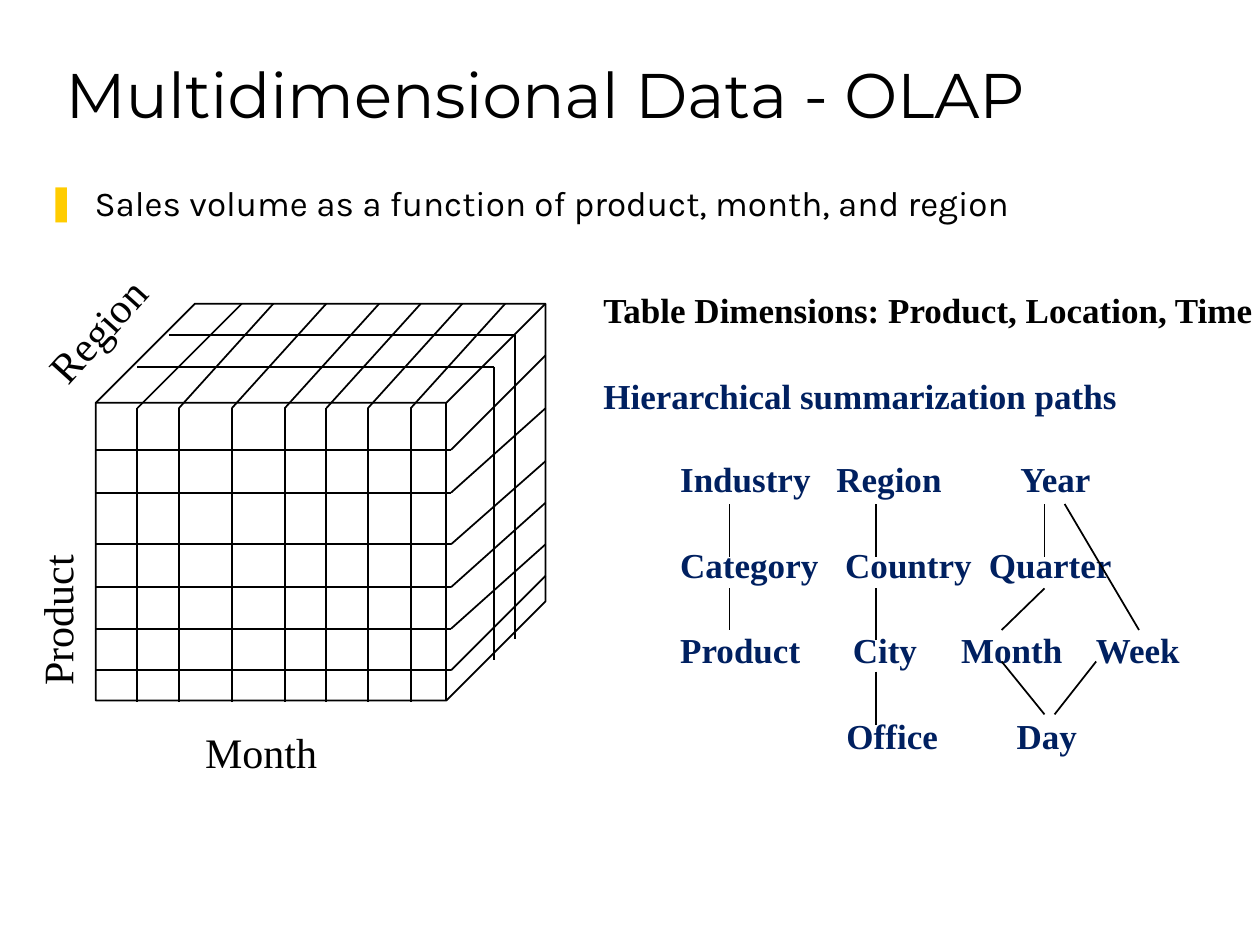
from lxml import etree
from pptx import Presentation
from pptx.dml.color import RGBColor
from pptx.enum.shapes import MSO_CONNECTOR, MSO_SHAPE
from pptx.enum.text import MSO_ANCHOR, PP_ALIGN
from pptx.oxml.ns import qn
from pptx.util import Inches, Pt

COLORS = {"text": "000000", "accent": "002060", "bullet": "FFCC00"}
SERIF = "Times New Roman"
ROW_GAP = Pt(25)


def color(name):
    return RGBColor.from_string(COLORS[name])


def place(shape, box):
    shape.left, shape.top, shape.width, shape.height = map(Inches, box)


def set_font(paragraph, name, size, color_name="text", bold=False):
    font = paragraph.font
    font.name, font.size, font.bold = name, Pt(size), bold
    font.color.rgb = color(color_name)


def add_line(slide, box, start, end):
    """Draw a thin line between two points given relative to the box."""
    left, top = box[:2]
    line = slide.shapes.add_connector(
        MSO_CONNECTOR.STRAIGHT,
        Inches(left + start[0]), Inches(top + start[1]),
        Inches(left + end[0]), Inches(top + end[1]))
    line.line.color.rgb = color("text")
    line.line.width = Pt(1)
    etree.SubElement(line._element.spPr, qn("a:effectLst"))


def add_text_frame(slide, box, rotation=0, wrap=True):
    text_box = slide.shapes.add_textbox(*map(Inches, box))
    text_box.rotation = rotation
    text_box.text_frame.word_wrap = wrap
    return text_box.text_frame


def add_title(slide, box):
    title = slide.shapes.title
    place(title, box)
    title.text_frame.text = "Multidimensional Data - OLAP"
    title.text_frame.vertical_anchor = MSO_ANCHOR.BOTTOM
    paragraph = title.text_frame.paragraphs[0]
    paragraph.alignment = PP_ALIGN.LEFT
    set_font(paragraph, "Montserrat", 36)


def add_body(slide, box):
    body = slide.placeholders[1]
    place(body, box)
    body.text_frame.text = "Sales volume as a function of product, month, and region"
    paragraph = body.text_frame.paragraphs[0]
    properties = paragraph._p.get_or_add_pPr()
    properties.set("marL", str(Inches(0.38)))
    properties.set("indent", str(Inches(-0.38)))
    bullet_color = etree.SubElement(properties, qn("a:buClr"))
    etree.SubElement(bullet_color, qn("a:srgbClr"), val=COLORS["bullet"])
    etree.SubElement(properties, qn("a:buChar"), char="❚")
    paragraph.space_before = Pt(0)
    set_font(paragraph, "Karla", 20)


def add_cube(slide, box):
    """Draw the data cube with its grid on the front, top and right faces."""
    cube = slide.shapes.add_shape(MSO_SHAPE.CUBE, *map(Inches, box))
    cube.adjustments[0] = 0.25
    cube.shadow.inherit = False
    cube.fill.background()
    cube.line.color.rgb = color("text")
    cube.line.width = Pt(1)

    front_right, front_top, bottom, depth = 2.82, 0.83, 3.16, 0.75
    rows = [(1.16, 0.41), (1.5, 0.83), (1.91, 1.25),
            (2.25, 1.58), (2.58, 1.91), (2.91, 2.16)]
    for front_y, back_y in rows:
        add_line(slide, box, (0, front_y), (front_right, front_y))
        add_line(slide, box, (front_right, front_y), (front_right + depth, back_y))

    for x in (0.33, 0.66, 1.08, 1.5, 1.83, 2.16, 2.5):
        add_line(slide, box, (x, front_top), (x, bottom))
        shift = 0.83 if x == 0.33 else depth
        add_line(slide, box, (x, front_top), (x + shift, 0))

    for left, right, y, end_y in ((0.58, 3.33, 0.25, 2.66), (0.33, 3.16, 0.5, 2.83)):
        add_line(slide, box, (left, y), (right, y))
        add_line(slide, box, (right, y), (right, end_y))


def add_axis_label(slide, box, text, rotation=0):
    text_frame = add_text_frame(slide, box, rotation, wrap=False)
    text_frame.text = text
    set_font(text_frame.paragraphs[0], SERIF, 24)


def add_headings(slide, box):
    text_frame = add_text_frame(slide, box)
    text_frame.text = ("Table Dimensions: Product, Location, Time\n"
                       "Hierarchical summarization paths")
    first, second = text_frame.paragraphs
    set_font(first, SERIF, 20, bold=True)
    set_font(second, SERIF, 20, "accent", bold=True)
    second.space_before = ROW_GAP


def add_hierarchies(slide, box):
    """Set the levels on tab stops and link them with lines."""
    rows = [
        ("Industry\tRegion\tYear", (1.24, 2.7)),
        ("Category\tCountry\tQuarter", (1.31, 2.45)),
        ("Product\tCity\tMonth\tWeek", (1.37, 2.23, 3.3)),
        ("\tOffice\tDay", (1.32, 2.67)),
    ]
    text_frame = add_text_frame(slide, box)
    text_frame.text = "\n".join(text for text, _ in rows)
    for index, (paragraph, (_, stops)) in enumerate(zip(text_frame.paragraphs, rows)):
        tabs = etree.SubElement(paragraph._p.get_or_add_pPr(), qn("a:tabLst"))
        for stop in stops:
            etree.SubElement(tabs, qn("a:tab"), pos=str(Inches(stop)), algn="l")
        if index:
            paragraph.space_before = ROW_GAP
        set_font(paragraph, SERIF, 20, "accent", bold=True)

    industry, region, year, month = 0.49, 1.65, 2.99, 2.65
    links = [
        ((industry, 0.42), (industry, 0.84)),
        ((industry, 1.09), (industry, 1.42)),
        ((region, 0.42), (region, 0.84)),
        ((region, 1.09), (region, 1.5)),
        ((region, 1.75), (region, 2.17)),
        ((year, 0.42), (year, 0.84)),
        ((year, 1.09), (month, 1.42)),
        ((3.15, 0.42), (3.74, 1.42)),
        ((month, 1.67), (year, 2.09)),
        ((3.4, 1.67), (3.07, 2.09)),
    ]
    for start, end in links:
        add_line(slide, box, start, end)


def main():
    presentation = Presentation()
    presentation.slide_width = Inches(10)
    presentation.slide_height = Inches(7.5)
    slide = presentation.slides.add_slide(presentation.slide_layouts[1])

    add_title(slide, (0.42, 0.17, 8.5, 0.92))
    add_body(slide, (0.27, 1.39, 8.75, 5))
    add_cube(slide, (0.76, 2.41, 3.57, 3.15))
    add_axis_label(slide, (-0.17, 4.67, 1.24, 0.5), "Product", 270)
    add_axis_label(slide, (0.19, 2.37, 1.16, 0.5), "Region", 312)
    add_axis_label(slide, (1.53, 5.72, 1.09, 0.5), "Month")
    add_headings(slide, (4.69, 2.24, 5.46, 1.1))
    add_hierarchies(slide, (5.3, 3.58, 4.2, 2.44))

    presentation.save("out.pptx")


if __name__ == "__main__":
    main()
